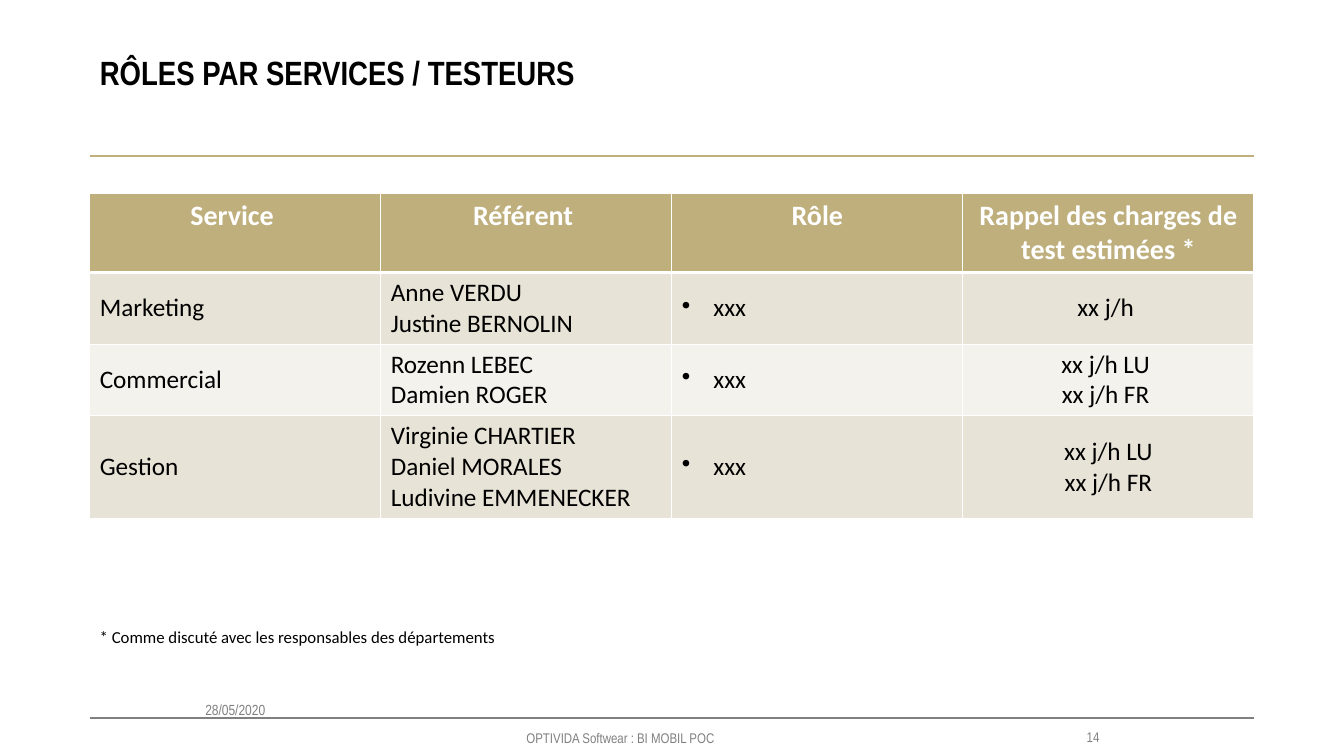
"""Build the slide of roles per department and testers."""
from dataclasses import dataclass

from lxml import etree
from pptx import Presentation
from pptx.dml.color import RGBColor
from pptx.enum.shapes import MSO_CONNECTOR
from pptx.enum.text import MSO_ANCHOR, MSO_AUTO_SIZE, PP_ALIGN
from pptx.oxml.ns import qn
from pptx.slide import Slide
from pptx.table import _Cell
from pptx.text.text import TextFrame
from pptx.util import Pt

STRAIGHT = MSO_CONNECTOR.STRAIGHT
LEFT, CENTER = PP_ALIGN.LEFT, PP_ALIGN.CENTER
TOP, MIDDLE = MSO_ANCHOR.TOP, MSO_ANCHOR.MIDDLE
NO_AUTOFIT = MSO_AUTO_SIZE.NONE


@dataclass(frozen=True)
class TextStyle:
    font: str
    size: float
    color: str
    bold: bool = False
    align: PP_ALIGN = LEFT
    anchor: MSO_ANCHOR = TOP
    bullet: bool = False


@dataclass(frozen=True)
class Theme:
    gold: str = "BEAF7D"
    gray: str = "808080"
    white: str = "FFFFFF"
    bands: tuple[str, str] = ("E8E3D7", "F4F2EC")
    title: TextStyle = TextStyle("Arial Narrow", 24, "000000", True, LEFT, MIDDLE)
    header: TextStyle = TextStyle("Calibri", 20, "FFFFFF", True, CENTER)
    body: TextStyle = TextStyle("Calibri", 18, "000000", anchor=MIDDLE)
    role: TextStyle = TextStyle("Calibri", 18, "000000", anchor=MIDDLE, bullet=True)
    effort: TextStyle = TextStyle("Calibri", 18, "000000", align=CENTER, anchor=MIDDLE)
    note: TextStyle = TextStyle("Calibri", 12, "000000")
    date: TextStyle = TextStyle("Arial Narrow", 10.5, "808080", align=CENTER, anchor=MIDDLE)
    footer: TextStyle = TextStyle("Arial Narrow", 10, "808080", align=CENTER)


@dataclass(frozen=True)
class Label:
    text: str
    left: float
    top: float
    width: float
    height: float
    style: TextStyle


@dataclass(frozen=True)
class Rule:
    top: float
    color: str


@dataclass(frozen=True)
class Row:
    cells: tuple[str, str, str, str]
    height: float


THEME = Theme()
MARGIN, CONTENT_WIDTH = 64.1, 831.6
TABLE_TOP = 138.4
BULLET_INDENT = 22.5
THIN_BORDER, HEADER_BORDER = 1, 3

LABELS = (
    Label("28/05/2020", MARGIN, 500.4, 208, 13, THEME.date),
    Label("OPTIVIDA Softwear : BI MOBIL POC", 339.1, 517.7, 208, 13, THEME.footer),
    Label("14", 676.8, 517, 208, 13, THEME.footer),
    Label("* Comme discuté avec les responsables des départements",
          MARGIN, 444.2, 541.4, 21.8, THEME.note),
)
RULES = (Rule(111.4, THEME.gold), Rule(512.8, THEME.gray))
ROWS = (
    Row(("Service ", " Référent  ", "Rôle", "Rappel des charges de test estimées *"), 56),
    Row(("Marketing", "Anne VERDU\nJustine BERNOLIN", "xxx", "xx j/h "), 51.2),
    Row(("Commercial", "Rozenn LEBEC\nDamien ROGER", "xxx", "xx j/h LU \nxx j/h FR "), 51.2),
    Row(("Gestion", "Virginie CHARTIER\nDaniel MORALES\nLudivine EMMENECKER",
         "xxx", "xx j/h LU\nxx j/h FR"), 73.2),
)
COLUMN_STYLES = (THEME.body, THEME.body, THEME.role, THEME.effort)


def write(frame: TextFrame, text: str, style: TextStyle) -> None:
    """Fill a frame with one styled paragraph per line."""
    frame.text = text
    for paragraph in frame.paragraphs:
        paragraph.alignment = style.align
        font = paragraph.font
        font.name, font.size, font.bold = style.font, Pt(style.size), style.bold
        font.color.rgb = RGBColor.from_string(style.color)
        if style.bullet:
            properties = paragraph._p.get_or_add_pPr()
            properties.set("marL", str(Pt(BULLET_INDENT)))
            properties.set("indent", str(-Pt(BULLET_INDENT)))
            bullet = etree.Element(qn("a:buChar"), char="•")
            properties.find(qn("a:defRPr")).addprevious(bullet)


def add_title(slide: Slide, text: str) -> None:
    """Place and style the title placeholder."""
    title = slide.shapes.title
    title.left, title.top = Pt(MARGIN), Pt(31.7)
    title.width, title.height = Pt(CONTENT_WIDTH), Pt(38.9)
    frame = title.text_frame
    frame.word_wrap, frame.auto_size = True, NO_AUTOFIT
    frame.vertical_anchor = THEME.title.anchor
    write(frame, text, THEME.title)


def add_label(slide: Slide, label: Label) -> None:
    """Add a free-standing text."""
    box = slide.shapes.add_textbox(
        Pt(label.left), Pt(label.top), Pt(label.width), Pt(label.height))
    box.text_frame.word_wrap = True
    box.text_frame.vertical_anchor = label.style.anchor
    write(box.text_frame, label.text, label.style)


def add_rule(slide: Slide, rule: Rule) -> None:
    """Add a horizontal line across the content width."""
    line = slide.shapes.add_connector(
        STRAIGHT, Pt(MARGIN), Pt(rule.top), Pt(MARGIN + CONTENT_WIDTH), Pt(rule.top))
    line.line.color.rgb = RGBColor.from_string(rule.color)
    line.line.width = Pt(1)
    etree.SubElement(line._element.spPr, qn("a:effectLst"))


def set_borders(cell: _Cell, top: float, bottom: float) -> None:
    """Draw white borders around a cell that has no fill yet."""
    widths = {"lnL": THIN_BORDER, "lnR": THIN_BORDER, "lnT": top, "lnB": bottom}
    properties = cell._tc.get_or_add_tcPr()
    for edge, width in widths.items():
        border = etree.SubElement(properties, qn(f"a:{edge}"), w=str(Pt(width)))
        fill = etree.SubElement(border, qn("a:solidFill"))
        etree.SubElement(fill, qn("a:srgbClr"), val=THEME.white)


def add_roles_table(slide: Slide) -> None:
    """Add the table of departments, contacts, roles and effort."""
    columns = len(COLUMN_STYLES)
    table = slide.shapes.add_table(
        len(ROWS), columns, Pt(MARGIN), Pt(TABLE_TOP), Pt(CONTENT_WIDTH),
        Pt(sum(row.height for row in ROWS))).table
    for column in table.columns:
        column.width = Pt(CONTENT_WIDTH / columns)
    for r, row in enumerate(ROWS):
        table.rows[r].height = Pt(row.height)
        color = THEME.bands[(r - 1) % 2] if r else THEME.gold
        top = HEADER_BORDER if r == 1 else THIN_BORDER
        bottom = THIN_BORDER if r else HEADER_BORDER
        for c, text in enumerate(row.cells):
            cell = table.cell(r, c)
            style = COLUMN_STYLES[c] if r else THEME.header
            set_borders(cell, top, bottom)
            cell.fill.solid()
            cell.fill.fore_color.rgb = RGBColor.from_string(color)
            cell.vertical_anchor = style.anchor
            write(cell.text_frame, text, style)


def main() -> None:
    """Build and save the presentation."""
    presentation = Presentation()
    presentation.slide_width, presentation.slide_height = Pt(960), Pt(540)
    slide = presentation.slides.add_slide(presentation.slide_layouts[5])
    for rule in RULES:
        add_rule(slide, rule)
    add_title(slide, "RÔLES PAR SERVICES / TESTEURS")
    add_roles_table(slide)
    for label in LABELS:
        add_label(slide, label)
    presentation.save("out.pptx")


if __name__ == "__main__":
    main()
